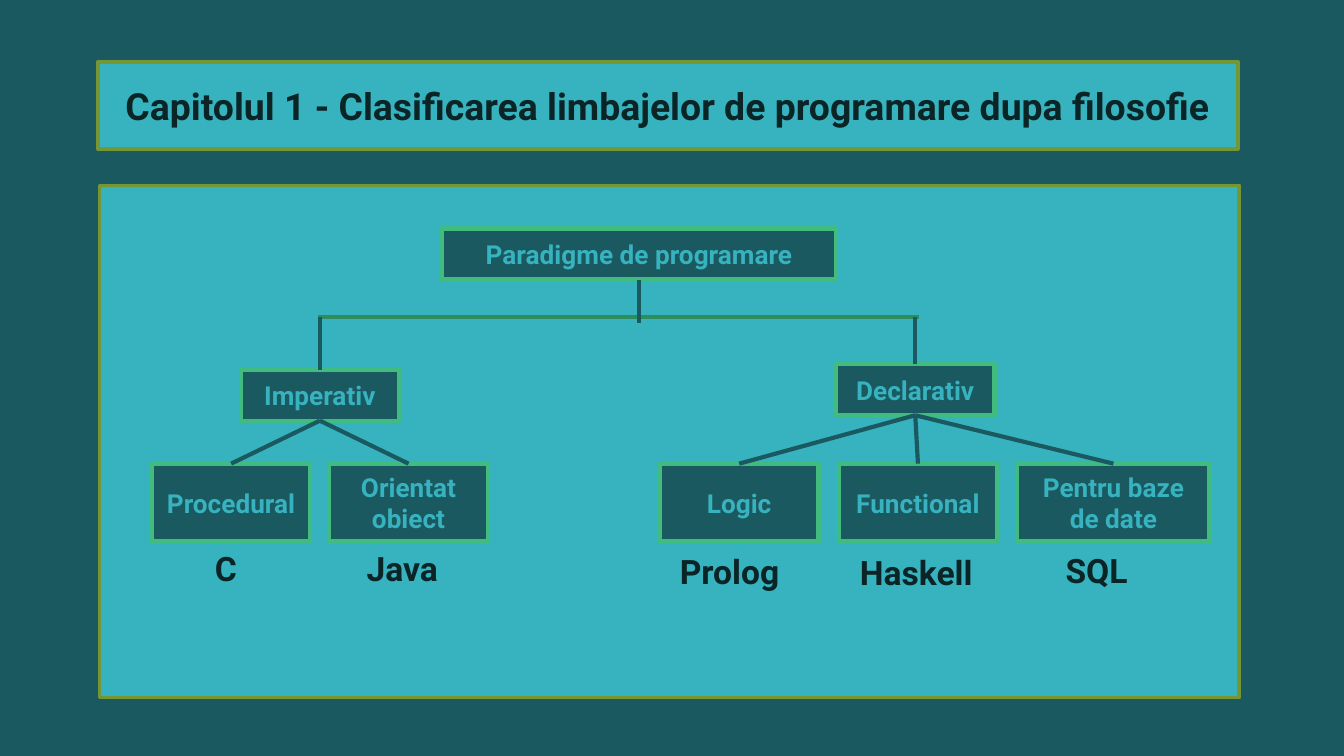
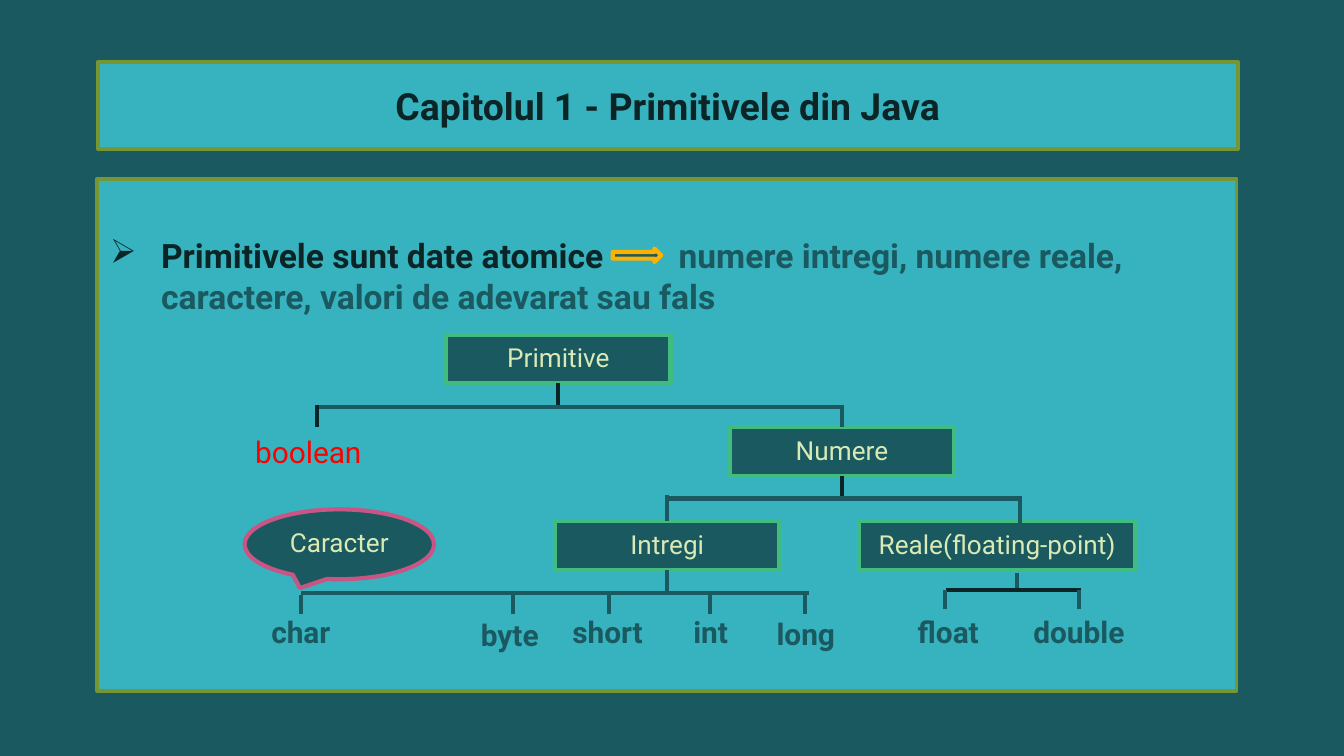
from lxml.etree import SubElement
from pptx import Presentation
from pptx.dml.color import RGBColor
from pptx.enum.shapes import MSO_CONNECTOR, MSO_SHAPE
from pptx.enum.text import MSO_ANCHOR, MSO_AUTO_SIZE, PP_ALIGN
from pptx.oxml import parse_xml
from pptx.oxml.ns import nsdecls, qn
from pptx.util import Inches, Pt

COLORS = {
    "night": "1B5960",
    "lagoon": "37B2BF",
    "ink": "0B2426",
    "olive": "769634",
    "leaf": "40BD7E",
    "moss": "2F8C5D",
    "cream": "D9EAB5",
    "amber": "FDB200",
    "pink": "C95584",
    "red": "FF0000",
}
FONT = "Roboto"
WIDTH = Inches(10)
HEIGHT = WIDTH * 9 // 16
CELL = WIDTH // 100
TOP, BOTTOM = 0, 2


def cells(*counts):
    return [round(count * CELL) for count in counts]


def color(name):
    return RGBColor.from_string(COLORS[name])


def style_font(font, size, name, bold=False):
    font.name = FONT
    font.size = Pt(size)
    font.bold = bold
    font.color.rgb = color(name)


def paint(shape, fill, line, weight=2.25):
    shape.fill.solid()
    shape.fill.fore_color.rgb = color(fill)
    shape.line.color.rgb = color(line)
    shape.line.width = Pt(weight)


def add_figure(page, kind, place, fill="night", line="leaf", weight=2.25):
    figure = page.shapes.add_shape(kind, *cells(*place))
    figure.shadow.inherit = False
    paint(figure, fill, line, weight)
    return figure


def write_centered(shape, words, size, name, bold, anchor):
    frame = shape.text_frame
    frame.word_wrap = True
    frame.auto_size = MSO_AUTO_SIZE.NONE
    frame.vertical_anchor = anchor
    para = frame.paragraphs[0]
    para.text = words
    para.alignment = PP_ALIGN.CENTER
    style_font(para.font, size, name, bold)


def add_page(deck, title, panel_place):
    page = deck.slides.add_slide(deck.slide_layouts[5])
    band = page.shapes.title
    band.left, band.top, band.width, band.height = cells(7.3, 4.6, 84.8, 6.5)
    outline = parse_xml(f'<a:prstGeom {nsdecls("a")} prst="roundRect"><a:avLst/></a:prstGeom>')
    band._element.spPr.find(qn("a:xfrm")).addnext(outline)
    paint(band, "lagoon", "olive", 2)
    write_centered(band, title, 20, "ink", True, MSO_ANCHOR.MIDDLE)
    panel = add_figure(page, MSO_SHAPE.FOLDED_CORNER, panel_place, "lagoon", "olive", 2)
    fold = panel._element.spPr.find(qn("a:prstGeom")).find(qn("a:avLst"))
    SubElement(fold, qn("a:gd"), name="adj", fmla="val 0")
    return page, panel


def add_paradigm(page, words, place):
    box = add_figure(page, MSO_SHAPE.RECTANGLE, place)
    write_centered(box, words, 14, "lagoon", True, MSO_ANCHOR.MIDDLE)
    return box


def add_type(page, words, place, kind=MSO_SHAPE.RECTANGLE, line="leaf"):
    box = add_figure(page, kind, place, line=line)
    write_centered(box, words, 14, "cream", False, MSO_ANCHOR.TOP)
    return box


def add_label(page, words, place, size, name, bold=True):
    label = page.shapes.add_textbox(*cells(*place))
    label.text_frame.word_wrap = True
    para = label.text_frame.paragraphs[0]
    para.text = words
    style_font(para.font, size, name, bold)


def add_line(page, ends, name="night"):
    line = page.shapes.add_connector(MSO_CONNECTOR.STRAIGHT, *ends)
    SubElement(line._element.spPr, qn("a:effectLst"))
    line.line.color.rgb = color(name)
    line.line.width = Pt(2.25)
    return line


def add_bar(page, left, right, row, name="night"):
    add_line(page, cells(left, row, right, row), name)


def add_tick(page, column, top, bottom, name="night"):
    add_line(page, cells(column, top, column, bottom), name)


def add_stem(page, box, side, row, name="night"):
    middle = box.left + box.width // 2
    edge = box.top if side == TOP else box.top + box.height
    line = add_line(page, [middle, *cells(row), middle, edge], name)
    line.end_connect(box, side)


def add_branch(page, parent, child):
    line = add_line(page, [0, 0, 0, 0])
    line.begin_connect(parent, BOTTOM)
    line.end_connect(child, TOP)


def add_statement(panel):
    frame = panel.text_frame
    frame.word_wrap = True
    frame.vertical_anchor = MSO_ANCHOR.TOP
    frame.margin_top = Inches(0.42)
    para = frame.paragraphs[0]
    para.alignment = PP_ALIGN.LEFT
    para.space_after = Pt(5.2)
    style_font(para.font, 18, "ink", True)
    properties = para._p.get_or_add_pPr()
    properties.set("marL", str(Inches(0.38)))
    properties.set("indent", str(-Inches(0.38)))
    bullet = parse_xml(f'<a:buChar {nsdecls("a")} char="➢"/>')
    properties.find(qn("a:defRPr")).addprevious(bullet)
    para.add_run().text = "Primitivele sunt date atomice"
    gap = para.add_run()
    gap.text = " "
    gap.font._element.set("spc", "3570")
    span = para.add_run()
    span.text = "numere intregi, numere reale, caractere, valori de adevarat sau fals"
    span.font.color.rgb = color("night")


def build_paradigms(deck):
    page, _ = add_page(
        deck,
        "Capitolul 1 - Clasificarea limbajelor de programare dupa filosofie",
        (7.4, 13.8, 84.8, 38.1),
    )
    root = add_paradigm(page, "Paradigme de programare", (32.9, 17, 29.3, 3.8))
    add_bar(page, 23.7, 68.4, 23.6, "moss")
    add_stem(page, root, BOTTOM, 24)
    families = [
        ("Imperativ", 17.9, 27.5, [
            ("Procedural", 11.3, 11.8), ("Orientat obiect", 24.5, 11.8)]),
        ("Declarativ", 62.2, 27.1, [
            ("Logic", 49.1, 11.8), ("Functional", 62.4, 11.8),
            ("Pentru baze de date", 75.7, 14.3)]),
    ]
    for family, left, top, kinds in families:
        parent = add_paradigm(page, family, (left, top, 11.8, 3.8))
        add_stem(page, parent, TOP, 23.6)
        for kind, column, width in kinds:
            child = add_paradigm(page, kind, (column, 34.5, width, 5.8))
            add_branch(page, parent, child)
    languages = [
        ("C", 15, 40.3, 4.5), ("Java", 26.3, 40.3, 10), ("Prolog", 49.6, 40.5, 10.9),
        ("Haskell", 63, 40.6, 11.5), ("SQL", 78.3, 40.4, 7.5),
    ]
    for language, left, top, width in languages:
        add_label(page, language, (left, top, width, 4.1), 18, "ink")


def build_primitives(deck):
    page, panel = add_page(
        deck, "Capitolul 1 - Primitivele din Java", (7.2, 13.3, 84.8, 38.1))
    add_statement(panel)
    add_figure(page, MSO_SHAPE.RIGHT_ARROW, (45.6, 18.5, 3.6, 1), line="amber")

    primitives = add_type(page, "Primitive", (33.2, 24.9, 16.7, 3.6))
    numbers = add_type(page, "Numere", (54.3, 31.8, 16.7, 3.6))
    integers = add_type(page, "Intregi", (41.3, 38.8, 16.7, 3.6))
    add_type(page, "Reale(floating-point)", (63.9, 38.8, 20.6, 3.6))
    add_type(page, "Caracter", (18.2, 37.9, 14.1, 5.2), MSO_SHAPE.OVAL_CALLOUT, "pink")

    add_stem(page, primitives, BOTTOM, 30.2, "ink")
    add_bar(page, 23.5, 62.5, 30.3)
    add_tick(page, 23.6, 30.1, 31.8, "ink")
    add_stem(page, numbers, TOP, 30.1)
    add_stem(page, numbers, BOTTOM, 37, "ink")
    add_bar(page, 49.5, 75.8, 37.1)
    add_stem(page, integers, TOP, 36.8)
    add_tick(page, 75.9, 36.9, 39)
    add_stem(page, integers, BOTTOM, 44)
    add_bar(page, 22.4, 60.2, 44.1)
    add_tick(page, 75.7, 42.6, 44)
    add_bar(page, 70.4, 80.4, 43.9, "ink")

    add_label(page, "boolean", (18, 31.8, 11, 3.7), 16, "red", False)
    leaves = [
        ("char", 19.2, 45.2, 22.4, 44.3), ("byte", 34.8, 45.4, 38.2, 44.3),
        ("short", 41.6, 45.2, 45.3, 44.3), ("int", 50.6, 45.2, 52.8, 44.3),
        ("long", 56.8, 45.3, 59.9, 44.3), ("float", 67.3, 45.2, 70.3, 43.9),
        ("double", 75.9, 45.2, 80.3, 43.9),
    ]
    for leaf, left, top, column, start in leaves:
        add_tick(page, column, start, start + 1.4)
        add_label(page, leaf, (left, top, 9.1, 3.7), 16, "night")


def main():
    deck = Presentation()
    deck.slide_width, deck.slide_height = WIDTH, HEIGHT
    backdrop = deck.slide_master.background.fill
    backdrop.solid()
    backdrop.fore_color.rgb = color("night")
    build_paradigms(deck)
    build_primitives(deck)
    deck.save("out.pptx")


if __name__ == "__main__":
    main()
